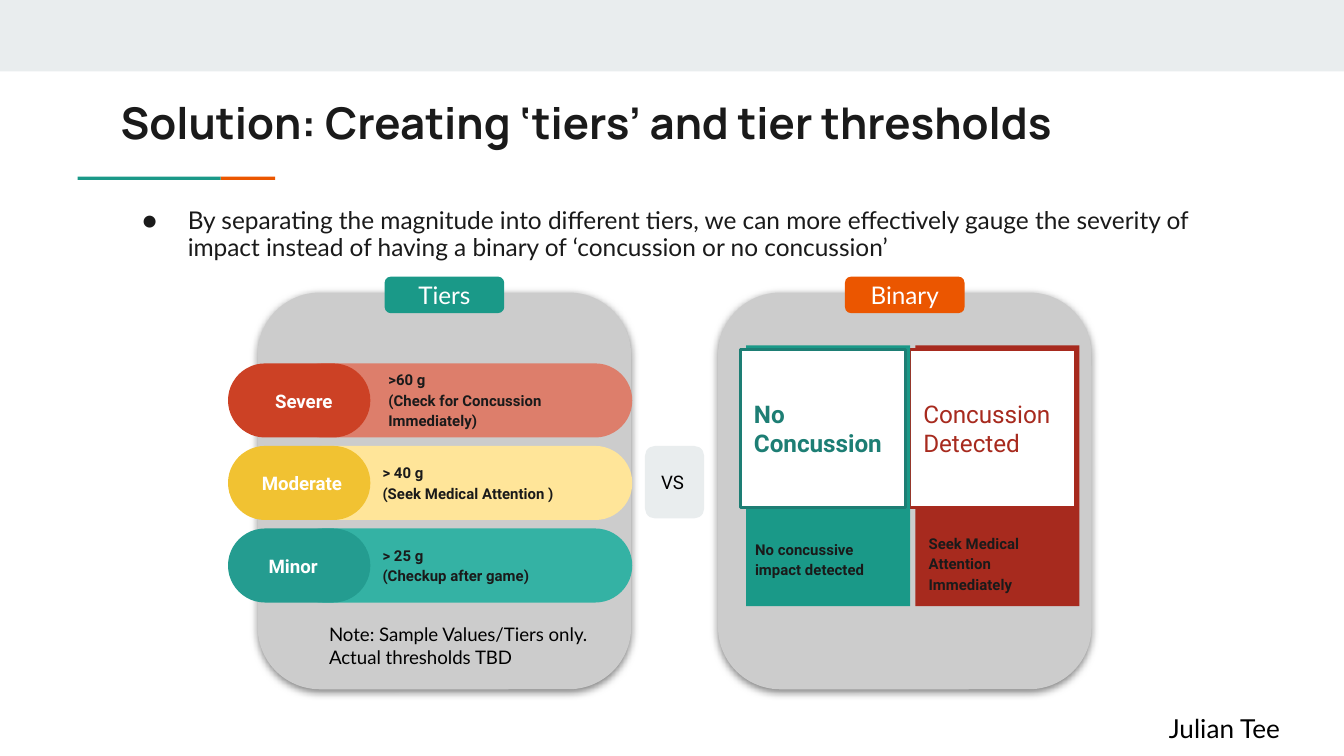
from dataclasses import dataclass

from lxml import etree
from pptx import Presentation
from pptx import util as u
from pptx.dml.color import RGBColor
from pptx.enum import shapes, text
from pptx.oxml import ns

RECT = shapes.MSO_SHAPE.RECTANGLE
ROUND = shapes.MSO_SHAPE.ROUNDED_RECTANGLE
TOP, MID = text.MSO_ANCHOR.TOP, text.MSO_ANCHOR.MIDDLE
LEFT, CENTER = text.PP_ALIGN.LEFT, text.PP_ALIGN.CENTER


@dataclass(frozen=True)
class Theme:
    white: str = "FFFFFF"
    black: str = "000000"
    ink: str = "1A1A1A"
    mist: str = "E9EDEE"
    gray: str = "CCCCCC"
    teal: str = "1A9988"
    pine: str = "1D7E74"
    orange: str = "EB5600"
    red: str = "A72A1E"
    severe: tuple = ("DD7E6B", "CC4125")
    medium: tuple = ("FFE599", "F1C232")
    minor: tuple = ("34B2A4", "249C90")
    head: str = "Manrope"
    body: str = "Lato"
    label: str = "Roboto"
    title: float = 23.4
    lead: float = 13.1
    tag: float = 13
    sign: float = 14
    note: float = 10
    small: float = 8


class Deck:
    """Theme and current slide; boxes are (left, top, width, height) in cm."""

    def __init__(self, theme):
        self.theme = theme
        self.file = Presentation()
        self.file.slide_width = u.Cm(25.4)
        self.file.slide_height = u.Cm(14.29)
        self.slide = self.file.slides.add_slide(self.file.slide_layouts[6])

    def shape(self, box, fill, kind=RECT, curve=0.167, line=None):
        item = self.slide.shapes.add_shape(kind, *map(u.Cm, box))
        item.shadow.inherit = False
        item.fill.solid()
        item.fill.fore_color.rgb = RGBColor.from_string(fill)
        if line:
            item.line.color.rgb = RGBColor.from_string(line)
            item.line.width = u.Pt(1.5)
        else:
            item.line.fill.background()
        if kind == ROUND:
            item.adjustments[0] = curve
        return item

    def panel(self, box):
        """Rounded gray panel with a soft shadow below."""
        item = self.shape(box, self.theme.gray, ROUND)
        effects = item._element.spPr.find(ns.qn("a:effectLst"))
        cast = etree.SubElement(effects, ns.qn("a:outerShdw"), blurRad="57150",
                                dist="19050", dir="5400000", algn="bl", rotWithShape="0")
        tint = etree.SubElement(cast, ns.qn("a:srgbClr"), val=self.theme.black)
        etree.SubElement(tint, ns.qn("a:alpha"), val="50000")

    def text(self, box, lines, **style):
        item = self.slide.shapes.add_textbox(*map(u.Cm, box))
        self.label(item, lines, **style)
        return item

    def label(self, item, lines, size, font, color, bold=False,
              align=LEFT, anchor=TOP, space=None, indent=0):
        """Put lines of text into a shape, one paragraph each."""
        frame = item.text_frame
        frame.word_wrap = True
        frame.vertical_anchor = anchor
        frame.margin_left = frame.margin_right = u.Cm(0.25)
        frame.margin_top = frame.margin_bottom = u.Cm(0.25)
        for i, line in enumerate(lines):
            para = frame.paragraphs[0] if i == 0 else frame.add_paragraph()
            para.alignment = align
            if space:
                para.line_spacing = space
            if indent:
                para._p.get_or_add_pPr().set("marL", str(u.Cm(indent)))
            run = para.add_run()
            run.text = line
            run.font.size = u.Pt(size)
            run.font.name = font
            run.font.bold = bold
            run.font.color.rgb = RGBColor.from_string(color)

    def bullet(self, item, hang):
        t = self.theme
        for para in item.text_frame.paragraphs:
            props = para._p.get_or_add_pPr()
            props.set("indent", str(-u.Cm(hang)))
            tint = etree.SubElement(props, ns.qn("a:buClr"))
            etree.SubElement(tint, ns.qn("a:srgbClr"), val=t.ink)
            etree.SubElement(props, ns.qn("a:buFont"), typeface=t.body)
            etree.SubElement(props, ns.qn("a:buChar"), char="●")

    def tag(self, box, words, fill):
        t = self.theme
        item = self.shape(box, fill, ROUND)
        self.label(item, [words], size=t.tag, font=t.body, color=t.white,
                   align=CENTER, anchor=MID)

    def tier(self, top, name, name_x, lines, lines_x, wide, tints):
        """Pill with a dark cap for the name and a pale bar for the rule."""
        t = self.theme
        pale, dark = tints
        self.shape((5.4, top, 6.55, 1.4), pale, ROUND, 0.5)
        self.text((lines_x, top, wide, 1.35), lines, size=t.small, font=t.label,
                  color=t.ink, bold=True, anchor=MID, space=1.15)
        self.shape((4.31, top, 2.69, 1.4), dark, ROUND, 0.5)
        self.text((name_x, top + 0.3, 2.13, 0.81), [name], size=t.note,
                  font=t.label, color=t.white, bold=True, anchor=MID)

    def card(self, left, lines, fill, edge, bold):
        t = self.theme
        self.shape((left + 0.1, 6.53, 3.1, 4.93), fill)
        lid = self.shape((left, 6.6, 3.12, 3), t.white, line=edge)
        self.label(lid, lines, size=t.tag, font=t.label, color=edge,
                   bold=bold, anchor=MID)


def main():
    t = Theme()
    deck = Deck(t)

    deck.shape((0, 0, 25.4, 1.35), t.mist)
    deck.shape((4.17, 3.34, 1.03, 0.06), t.orange)
    deck.shape((1.47, 3.34, 2.7, 0.06), t.teal)
    deck.text((2.03, 1.57, 21.36, 1.5),
              ["Solution: Creating ‘tiers’ and tier thresholds"],
              size=t.title, font=t.head, color=t.ink, bold=True)
    lead = deck.text((2.03, 3.66, 21.36, 2.11),
                     ["By separating the magnitude into different tiers, we can more "
                      "effectively gauge the severity of impact instead of having a "
                      "binary of ‘concussion or no concussion’"],
                     size=t.lead, font=t.body, color=t.ink, space=0.95, indent=1.27)
    deck.bullet(lead, 0.86)

    sides = [(4.87, "Tiers", t.teal), (13.57, "Binary", t.orange)]
    for left, _, _ in sides:
        deck.panel((left, 5.53, 7.06, 7.5))
    for left, words, fill in sides:
        deck.tag((left + 2.4, 5.23, 2.26, 0.69), words, fill)

    tiers = [
        ("Severe", 4.95, [">60 g", "(Check for Concussion Immediately)"],
         7.09, 4.45, t.severe),
        ("Moderate", 4.7, ["> 40 g", "(Seek Medical Attention )"],
         6.98, 4.8, t.medium),
        ("Minor", 4.83, ["> 25 g", "(Checkup after game)"],
         6.98, 4.8, t.minor),
    ]
    for i, tier in enumerate(tiers):
        deck.tier(6.87 + 1.56 * i, *tier)
    deck.text((4.7, 11.53, 6.83, 1.37),
              ["Note: Sample Values/Tiers only. Actual thresholds TBD"],
              size=t.note, font=t.body, color=t.black, indent=1.27)

    deck.card(17.2, ["Concussion", "Detected"], t.red, t.red, False)
    deck.card(14, ["No Concussion"], t.teal, t.pine, True)
    for left, top, wide, words in [
        (14.02, 9.91, 3.1, "No concussive impact detected"),
        (17.3, 9.8, 3.2, "Seek Medical Attention Immediately"),
    ]:
        deck.text((left, top, wide, 1.32), [words], size=t.small,
                  font=t.label, color=t.ink, bold=True, space=1.15)

    versus = deck.shape((12.19, 8.43, 1.12, 1.37), t.mist, ROUND)
    deck.label(versus, ["VS"], size=t.note, font=t.label, color=t.black, anchor=MID)
    deck.text((20.57, 13.21, 5.26, 1.12), ["Julian Tee"], size=t.sign,
              font=t.body, color=t.black, indent=1.27)
    deck.file.save("out.pptx")


if __name__ == "__main__":
    main()
